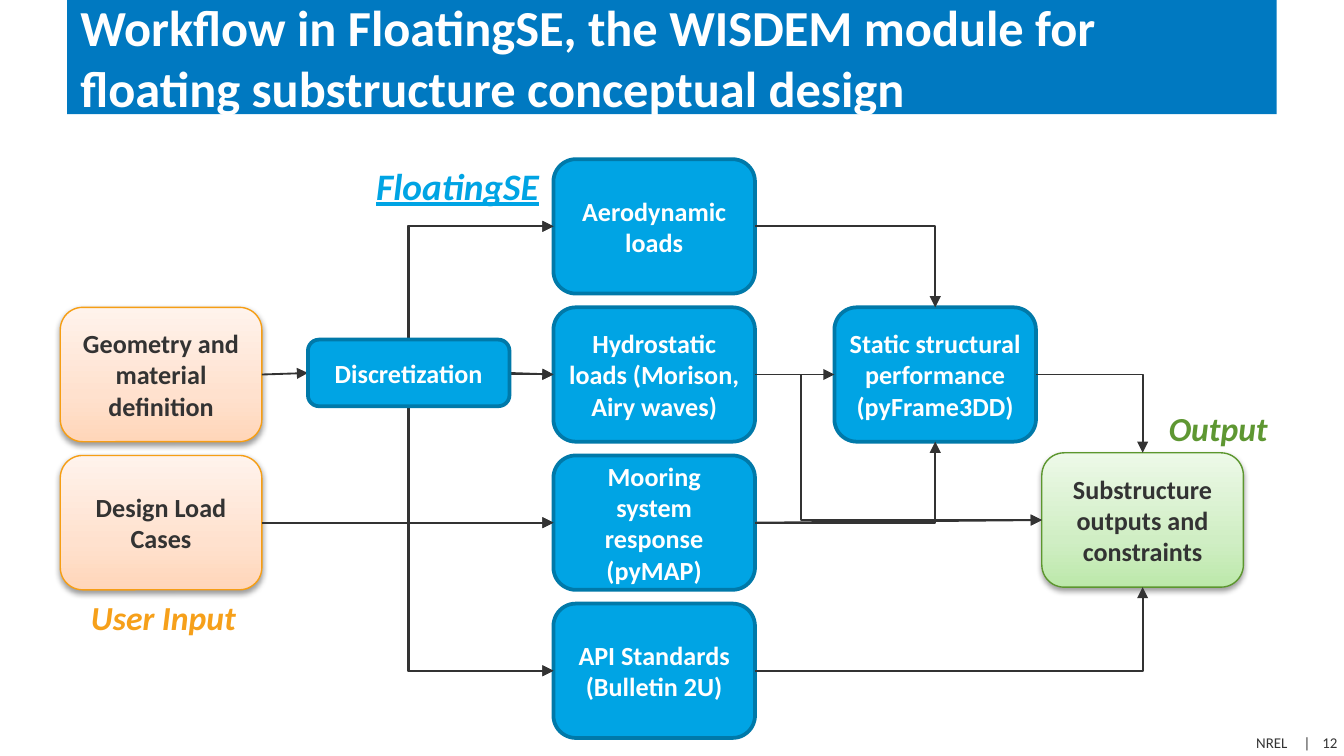
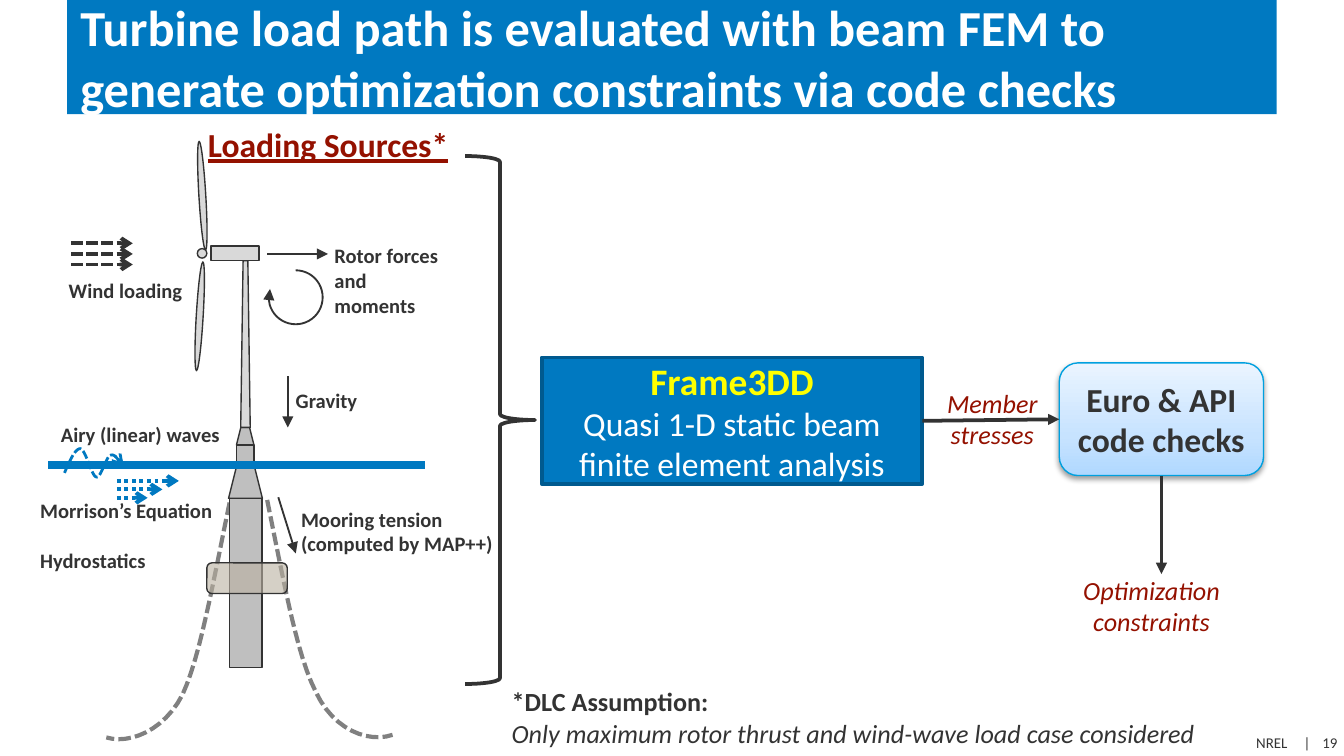
from dataclasses import dataclass
from lxml import etree
from pptx import Presentation, util as u
from pptx.dml.color import RGBColor as Rgb
from pptx.enum import dml, shapes as sh, text as tx
from pptx.oxml.ns import qn


@dataclass(frozen=True)
class Theme:
    font: str = "Calibri"
    ink: str = "333333"
    white: str = "FFFFFF"
    band: str = "0079C1"
    edge: str = "005A8F"
    sky: str = "00A4E4"
    rim: str = "0079A9"
    amber: str = "F69E14"
    leaf: str = "5C962E"
    cyan: str = "00A0DF"
    red: str = "941100"
    gold: str = "FFFF00"
    steel: str = "BFBFBF"
    pale: str = "D9D9D9"
    rope: str = "808080"
    clump: str = "BAB1A1"
    peach: tuple = ("FFD6B9", "FFE1CE", "FFF3EC")
    mint: tuple = ("BCE8AA", "D0EEC4", "EDF9E8")
    ice: tuple = ("B0D8FF", "C7E3FF", "EAF4FF")
    head: float = 27
    big: float = 20
    mid: float = 18
    body: float = 14
    note: float = 11
    foot: float = 8


T = Theme()
KIND, LINK, DASH = sh.MSO_SHAPE, sh.MSO_CONNECTOR, dml.MSO_LINE
LEFT, MID = tx.PP_ALIGN.LEFT, tx.PP_ALIGN.CENTER


def ink(item, hue, width, dash=None, tip=None, end="tailEnd"):
    """Style an outline or a line, without shadow unless one is set."""
    item.line.color.rgb = Rgb.from_string(hue)
    item.line.width = u.Pt(width)
    if dash:
        item.line.dash_style = dash
    prop = item._element.spPr
    if tip:
        etree.SubElement(prop.find(qn("a:ln")), qn("a:" + end), type=tip)
    if prop.find(qn("a:effectLst")) is None:
        etree.SubElement(prop, qn("a:effectLst"))


def put(page, kind, at, fill=None, line=None, rows=(), align=LEFT,
        pad=(0.25, 0.13), wrap=True, gap=0):
    """Add a shape, or a text box if kind is None; rows hold text, size, hue, style."""
    at = [u.Cm(n) for n in at]
    if kind is None:
        item = page.shapes.add_textbox(*at)
    else:
        item = page.shapes.add_shape(kind, *at)
        item.shadow.inherit = False
        if isinstance(fill, tuple):
            item.fill.gradient()
            item.fill.gradient_angle = 90
            stops = item._element.spPr.find(qn("a:gradFill")).find(qn("a:gsLst"))
            stops[:] = []
            for pos, hue in zip((0, 35, 100), fill):
                stop = etree.SubElement(stops, qn("a:gs"), pos=str(pos * 1000))
                etree.SubElement(stop, qn("a:srgbClr"), val=hue)
            glow = etree.SubElement(
                item._element.spPr.find(qn("a:effectLst")), qn("a:outerShdw"),
                blurRad=str(u.Pt(3.1)), dist=str(u.Pt(1.6)), dir="5400000", rotWithShape="0")
            tone = etree.SubElement(glow, qn("a:srgbClr"), val="000000")
            etree.SubElement(tone, qn("a:alpha"), val="38000")
        elif fill:
            item.fill.solid()
            item.fill.fore_color.rgb = Rgb.from_string(fill)
        else:
            item.fill.background()
        if line:
            ink(item, *line)
        else:
            item.line.fill.background()
    if rows:
        box = item.text_frame
        box.word_wrap = wrap
        box.vertical_anchor = tx.MSO_ANCHOR.TOP if kind is None else tx.MSO_ANCHOR.MIDDLE
        box.margin_left = box.margin_right = u.Cm(pad[0])
        box.margin_top = box.margin_bottom = u.Cm(pad[1])
        for i, (words, size, hue, style) in enumerate(rows):
            para = box.add_paragraph() if i else box.paragraphs[0]
            para.add_run().text = words
            para.alignment = align
            if i and gap:
                para.space_before = u.Pt(gap)
            font = para.font
            font.name, font.size = T.font, u.Pt(size)
            font.color.rgb = Rgb.from_string(hue)
            font.bold, font.italic, font.underline = (c in style for c in "biu")
    return item


deck = Presentation()
deck.slide_width, deck.slide_height = u.Cm(25.4), u.Cm(14.29)

# Shared title band and footer
pages = []
for title, num in (
    ("Workflow in FloatingSE, the WISDEM module for floating substructure conceptual design", 12),
    ("Turbine load path is evaluated with beam FEM to generate optimization constraints"
     " via code checks", 19),
):
    page = deck.slides.add_slide(deck.slide_layouts[6])
    foot = put(page, None, (23.74, 13.87, 1.6, 0.33),
               rows=[(f"NREL\t|\t{num}", T.foot, T.ink, "")], pad=(0, 0), wrap=False)
    prop = foot.text_frame.paragraphs[0]._p.get_or_add_pPr()
    tabs = etree.Element(qn("a:tabLst"))
    for pos in (0.9, 1.25):
        etree.SubElement(tabs, qn("a:tab"), pos=str(u.Cm(pos)), algn="l")
    prop.insert(0, tabs)
    put(page, KIND.RECTANGLE, (1.27, 0, 22.86, 2.16), T.band,
        rows=[(title, T.head, T.white, "b")])
    pages.append(page)
flow, load = pages

# Workflow boxes: four rows of equal pitch
WIDE, TALL = 3.81, 2.54
row = [3.01 + 2.8 * i for i in range(4)]
blue = (T.sky, (T.rim, 2), T.white)
peach = (T.peach, (T.amber, 0.75), T.ink)
mint = (T.mint, (T.leaf, 0.75), T.ink)
node = {}
for key, x, y, tall, look, words in (
    ("case", 1.14, row[2], TALL, peach, "Design Load Cases"),
    ("geo", 1.14, row[1], TALL, peach, "Geometry and material definition"),
    ("hydro", 10.46, row[1], TALL, blue, "Hydrostatic loads (Morison, Airy waves)"),
    ("moor", 10.46, row[2], TALL, blue, "Mooring system response (pyMAP)"),
    ("frame", 15.77, row[1], TALL, blue, "Static structural performance (pyFrame3DD)"),
    ("api", 10.46, row[3], TALL, blue, "API Standards (Bulletin 2U)"),
    ("aero", 10.46, row[0], TALL, blue, "Aerodynamic loads"),
    ("out", 19.69, 8.56, TALL, mint, "Substructure outputs and constraints"),
    ("disc", 5.82, 6.42, 1.26, blue, "Discretization"),
):
    fill, line, hue = look
    node[key] = put(flow, KIND.ROUNDED_RECTANGLE, (x, y, WIDE, tall), fill, line,
                    [(words, T.body, hue, "b")], MID, (0.13, 0.13))

# Workflow arrows: the last item tells which end bears the head
TOP, WEST, LOW, EAST = range(4)
for a, exit_, b, entry, form, end in (
    ("aero", WEST, "disc", TOP, "bentConnector2", "headEnd"),
    ("moor", WEST, "disc", LOW, "bentConnector2", "headEnd"),
    ("api", WEST, "disc", LOW, "bentConnector2", "headEnd"),
    ("geo", EAST, "disc", WEST, None, "tailEnd"),
    ("disc", EAST, "hydro", WEST, None, "tailEnd"),
    ("case", EAST, "moor", WEST, None, "tailEnd"),
    ("case", EAST, "aero", WEST, "bentConnector3", "tailEnd"),
    ("case", EAST, "hydro", WEST, "bentConnector3", "tailEnd"),
    ("case", EAST, "api", WEST, "bentConnector3", "tailEnd"),
    ("api", EAST, "out", LOW, "bentConnector2", "tailEnd"),
    ("moor", EAST, "frame", LOW, "bentConnector2", "tailEnd"),
    ("aero", EAST, "frame", TOP, "bentConnector2", "tailEnd"),
    ("frame", EAST, "out", TOP, "bentConnector2", "tailEnd"),
    ("hydro", EAST, "frame", WEST, None, "tailEnd"),
    ("moor", EAST, "out", WEST, None, "tailEnd"),
    ("hydro", EAST, "out", WEST, "bentConnector3", "tailEnd"),
):
    link = flow.shapes.add_connector(LINK.ELBOW if form else LINK.STRAIGHT, 0, 0, 0, 0)
    link.begin_connect(node[a], exit_)
    link.end_connect(node[b], entry)
    if form:
        geom = link._element.spPr.find(qn("a:prstGeom"))
        geom.set("prst", form)
        if (a, b) == ("hydro", "out"):
            etree.SubElement(geom.find(qn("a:avLst")), qn("a:gd"),
                             name="adj1", fmla="val 16000")
    ink(link, T.ink, 1, tip="triangle", end=end)

# Discretization hides the lines that run behind it
disc = node["disc"]._element
disc.getparent().append(disc)

# Workflow group labels
for words, at, size, hue, style in (
    ("FloatingSE", (6.86, 2.95, 3.61, 1.12), T.big, T.sky, "biu"),
    ("User Input", (1.47, 11.15, 3.28, 1.02), T.mid, "F6A01A", "bi"),
    ("Output", (21.84, 7.59, 2.41, 1.02), T.mid, "5E9732", "bi"),
):
    put(flow, None, at, rows=[(words, size, hue, style)], wrap=False)

# Mooring lines and wave, each a chain of cubic curves
for pts, hue, width, tip in (
    (((4.34, 9.5), (4.01, 11.1), (3.78, 12.42), (3.45, 13.13),
      (3.1, 13.82), (2.44, 14.07), (2.01, 13.94)), T.rope, 2.25, None),
    (((5.05, 9.45), (5.38, 11.07), (5.61, 12.37), (5.97, 13.08),
      (6.3, 13.79), (6.96, 14.05), (7.42, 13.89)), T.rope, 2.25, None),
    (((1.22, 8.94), (1.32, 8.71), (1.42, 8.48), (1.52, 8.48),
      (1.63, 8.51), (1.73, 9.02), (1.83, 9.02), (1.9, 9.04), (2.01, 8.64),
      (2.08, 8.61), (2.16, 8.56), (2.24, 8.69), (2.34, 8.81)), T.band, 1.5, "arrow"),
):
    trail = []
    for i in range(0, len(pts) - 1, 3):
        for t in (k / 12 for k in range(1, 13)):
            mix = ((1 - t) ** 3, 3 * t * (1 - t) ** 2, 3 * t * t * (1 - t), t ** 3)
            trail.append([u.Cm(sum(m * p[d] for m, p in zip(mix, pts[i:i + 4])))
                          for d in (0, 1)])
    pen = load.shapes.build_freeform(*(u.Cm(n) for n in pts[0]))
    pen.add_line_segments(trail, close=False)
    curve = pen.convert_to_shape()
    curve.fill.background()
    ink(curve, hue, width, DASH.SQUARE_DOT, tip)

# Turbine, from spar to blades, then the clump weight
for kind, at, fill, turn in (
    (KIND.RECTANGLE, (4.34, 9.42, 0.61, 3.2), T.steel, 0),
    (KIND.TRAPEZOID, (4.32, 8.84, 0.64, 0.58), T.steel, 0),
    (KIND.RECTANGLE, (4.47, 8.41, 0.33, 0.38), T.steel, 0),
    (KIND.TRAPEZOID, (4.47, 8.08, 0.33, 0.33), T.steel, 0),
    (KIND.TRAPEZOID, (4.55, 4.93, 0.18, 3.15), T.pale, 0),
    (KIND.RECTANGLE, (3.99, 4.65, 0.91, 0.28), T.pale, 0),
    (KIND.OVAL, (3.73, 4.7, 0.18, 0.18), T.pale, 0),
    (KIND.OVAL, (3.71, 4.95, 0.13, 2.06), T.pale, 3.4),
    (KIND.OVAL, (3.76, 2.67, 0.13, 2.06), T.pale, -3.4),
    (KIND.ROUNDED_RECTANGLE, (3.91, 10.64, 1.52, 0.58), T.clump, 0),
):
    part = put(load, kind, at, fill, (T.ink, 0.75))
    part.rotation = turn
tone = part._element.spPr.find(qn("a:solidFill"))[0]
etree.SubElement(tone, qn("a:alpha"), val="60000")

# Water line, wind, current and force arrows
wind = [((1.35, 4.6 + 0.2 * i, 2.51, 4.6 + 0.2 * i), T.ink, 2, DASH.SQUARE_DOT, "arrow")
        for i in range(3)]
tide = [((2.21, 9.09 + 0.16 * i, x, 9.09 + 0.16 * i), T.band, 2, DASH.ROUND_DOT, "arrow")
        for i, x in enumerate((3.38, 3.07, 2.79))]
force = [(at, T.ink, 1, None, "triangle") for at in (
    (5.26, 9.4, 5.59, 10.46), (5.44, 7.11, 5.44, 8.08), (5.05, 4.8, 6.2, 4.8))]
for at, *look in [((0.91, 8.79, 8.03, 8.79), T.band, 4.5)] + wind + tide + force:
    ink(load.shapes.add_connector(LINK.STRAIGHT, *(u.Cm(n) for n in at)), *look)

# Rotor moment and brace
arc = put(load, KIND.ARC, (5.08, 5.11, 1.02, 1.02), None, (T.ink, 1, None, "triangle"))
arc.adjustments[0], arc.adjustments[1] = 162, 118.73
put(load, KIND.RIGHT_BRACE, (8.79, 2.95, 1.32, 9.98), None, (T.ink, 2))

# Load labels
for at, wrap, *lines in (
    ((1.3, 5.26, 2.16, 0.48), False, "Wind loading"),
    ((1.15, 7.98, 3.04, 0.48), False, "Airy (linear) waves"),
    ((0.76, 9.42, 3.3, 1.42), False, "Morrison’s Equation", "Hydrostatics"),
    ((5.59, 7.34, 1.19, 0.48), False, "Gravity"),
    ((5.69, 9.58, 3.66, 0.94), False, "Mooring tension", "(computed by MAP++)"),
    ((6.32, 4.6, 2.18, 1.42), True, "Rotor forces and moments"),
):
    put(load, None, at, rows=[(words, T.note, T.ink, "b") for words in lines],
        pad=(0, 0), wrap=wrap, gap=13.4 if "Hydrostatics" in lines else 0)
put(load, None, (3.68, 2.21, 5.11, 1.02),
    rows=[("Loading Sources*", T.mid, T.red, "bu")], wrap=False)

# Analysis chain
beam = put(load, KIND.RECTANGLE, (10.24, 6.76, 7.19, 2.39), T.band, (T.edge, 2),
           [("Frame3DD", T.big, T.gold, "b"),
            ("Quasi 1-D static beam finite element analysis", T.mid, T.white, "")], MID)
code = put(load, KIND.ROUNDED_RECTANGLE, (20.02, 6.86, 3.86, 2.13), T.ice, (T.cyan, 0.75),
           [("Euro & API code checks", T.mid, T.ink, "b")], MID)
for start, site in ((beam, EAST), (code, LOW)):
    link = load.shapes.add_connector(LINK.STRAIGHT, 0, 0, u.Cm(21.95), u.Cm(10.85))
    link.begin_connect(start, site)
    if start is beam:
        link.end_connect(code, WEST)
    ink(link, T.ink, 2, tip="triangle")
for words, at in (("Member stresses", (17.65, 7.32, 2.21, 1.19)),
                  ("Optimization constraints", (20.29, 10.85, 2.95, 1.19))):
    put(load, None, at, rows=[(words, T.body, T.red, "i")], align=MID, pad=(0, 0))

# Assumption note
put(load, None, (9.42, 12.83, 13.59, 1.45), rows=[
    ("*DLC Assumption:", T.body, T.ink, "b"),
    ("Only maximum rotor thrust and wind-wave load case considered", T.body, T.ink, "i")])

deck.save("out.pptx")
